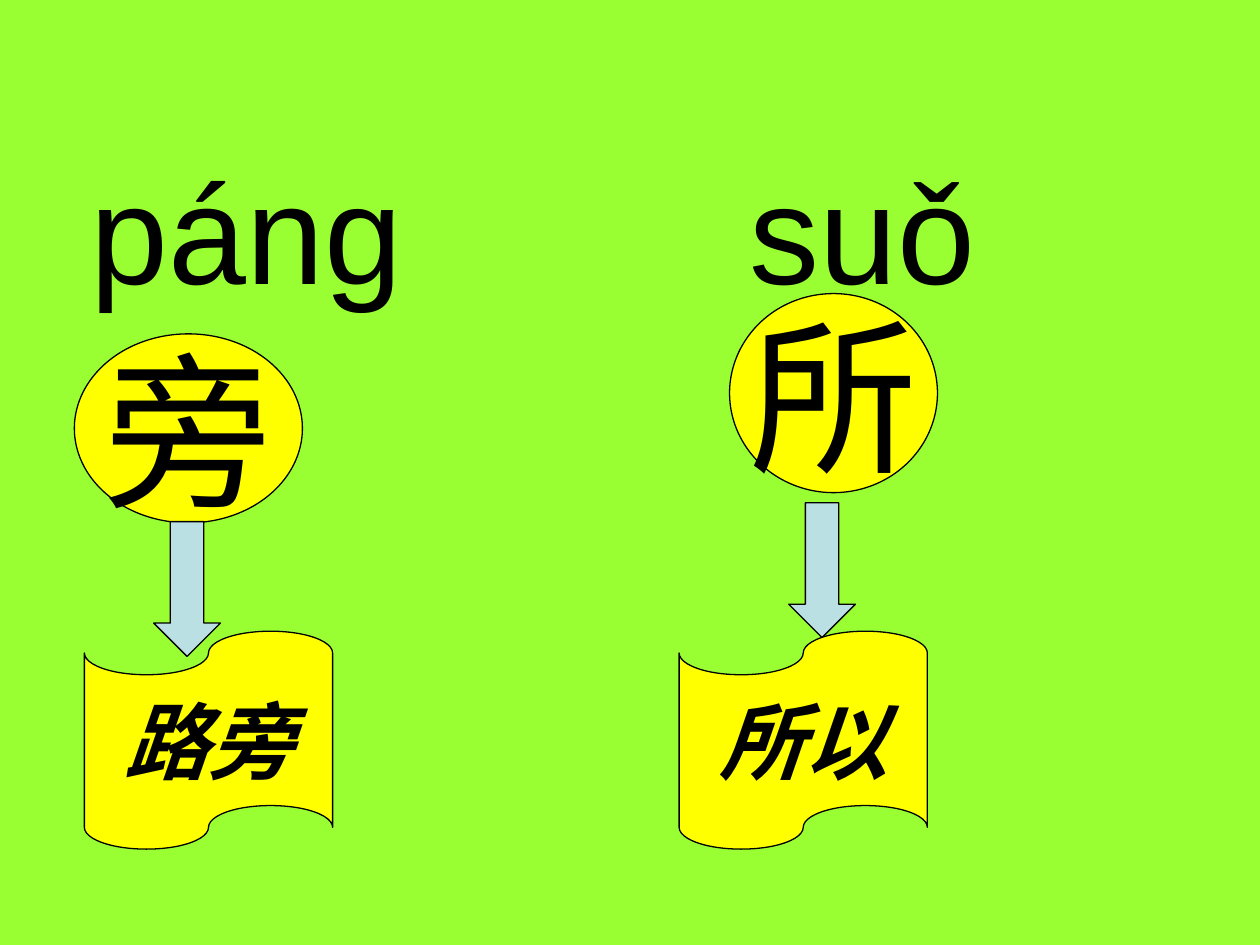
"""Build a slide that pairs two Chinese characters with their pinyin and a word."""
from dataclasses import dataclass

from lxml import etree
from pptx import Presentation
from pptx.dml.color import RGBColor
from pptx.enum import shapes, text
from pptx.oxml import ns
from pptx.slide import Slide
from pptx.util import Inches, Pt


def paint(color_format, hex_color):
    color_format.rgb = RGBColor.from_string(hex_color)


@dataclass
class CharacterSlide:
    slide: Slide
    font: str = "Arial"
    ink: str = "000000"
    background: str = "99FF33"
    paper: str = "FFFF00"
    arrow_fill: str = "BBE0E3"

    def fill_background(self):
        fill = self.slide.background.fill
        fill.solid()
        paint(fill.fore_color, self.background)

    def style(self, paragraph, size, emphasis=False):
        font = paragraph.font
        font.name, font.size = self.font, Pt(size)
        font.bold = font.italic = emphasis
        paint(font.color, self.ink)

    def title(self, syllables, box, indent, tab):
        heading = self.slide.shapes.title
        heading.left, heading.top, heading.width, heading.height = map(Inches, box)
        frame = heading.text_frame
        frame.auto_size = text.MSO_AUTO_SIZE.NONE
        frame.vertical_anchor = text.MSO_ANCHOR.TOP
        frame.margin_left, frame.margin_top = Inches(indent), Inches(0.04)
        frame.text = "\t".join(syllables)
        paragraph = frame.paragraphs[0]
        paragraph.alignment = text.PP_ALIGN.LEFT
        tabs = etree.SubElement(paragraph._p.get_or_add_pPr(), ns.qn("a:tabLst"))
        etree.SubElement(tabs, ns.qn("a:tab"), pos=str(Inches(tab)), algn="l")
        self.style(paragraph, 80)

    def outlined(self, kind, box, fill):
        shape = self.slide.shapes.add_shape(kind, *map(Inches, box))
        shape.shadow.inherit = False
        shape.fill.solid()
        paint(shape.fill.fore_color, fill)
        paint(shape.line.color, self.ink)
        shape.line.width = Pt(0.75)
        return shape

    def label(self, kind, box, wording, size, emphasis=False):
        frame = self.outlined(kind, box, self.paper).text_frame
        frame.word_wrap = False
        frame.vertical_anchor = text.MSO_ANCHOR.MIDDLE
        frame.text = wording
        frame.paragraphs[0].alignment = text.PP_ALIGN.CENTER
        self.style(frame.paragraphs[0], size, emphasis)

    def character(self, glyph, box):
        self.label(shapes.MSO_SHAPE.OVAL, box, glyph, 96)

    def arrow(self, left, top):
        self.outlined(shapes.MSO_SHAPE.DOWN_ARROW, (left, top, 0.53, 1.07), self.arrow_fill)

    def word(self, wording, left):
        tape = shapes.MSO_SHAPE.FLOWCHART_PUNCHED_TAPE
        self.label(tape, (left, 5.01, 1.97, 1.73), wording, 48, emphasis=True)


def main():
    deck = Presentation()
    deck.slide_width, deck.slide_height = Inches(10), Inches(7.5)
    page = CharacterSlide(deck.slides.add_slide(deck.slide_layouts[5]))
    page.fill_background()
    page.title(("páng", "suǒ"), (0, 1.11, 9.93, 1.18), indent=0.72, tab=5.23)

    lessons = (
        ("旁", (0.59, 2.65, 1.81, 1.5), (1.22, 4.14), "路旁", 0.67),
        ("所", (5.79, 2.33, 1.65, 1.58), (6.26, 3.99), "所以", 5.39),
    )
    for glyph, circle, arrow, wording, word_left in lessons:
        page.character(glyph, circle)
        page.arrow(*arrow)
        page.word(wording, word_left)
    deck.save("out.pptx")


if __name__ == "__main__":
    main()
